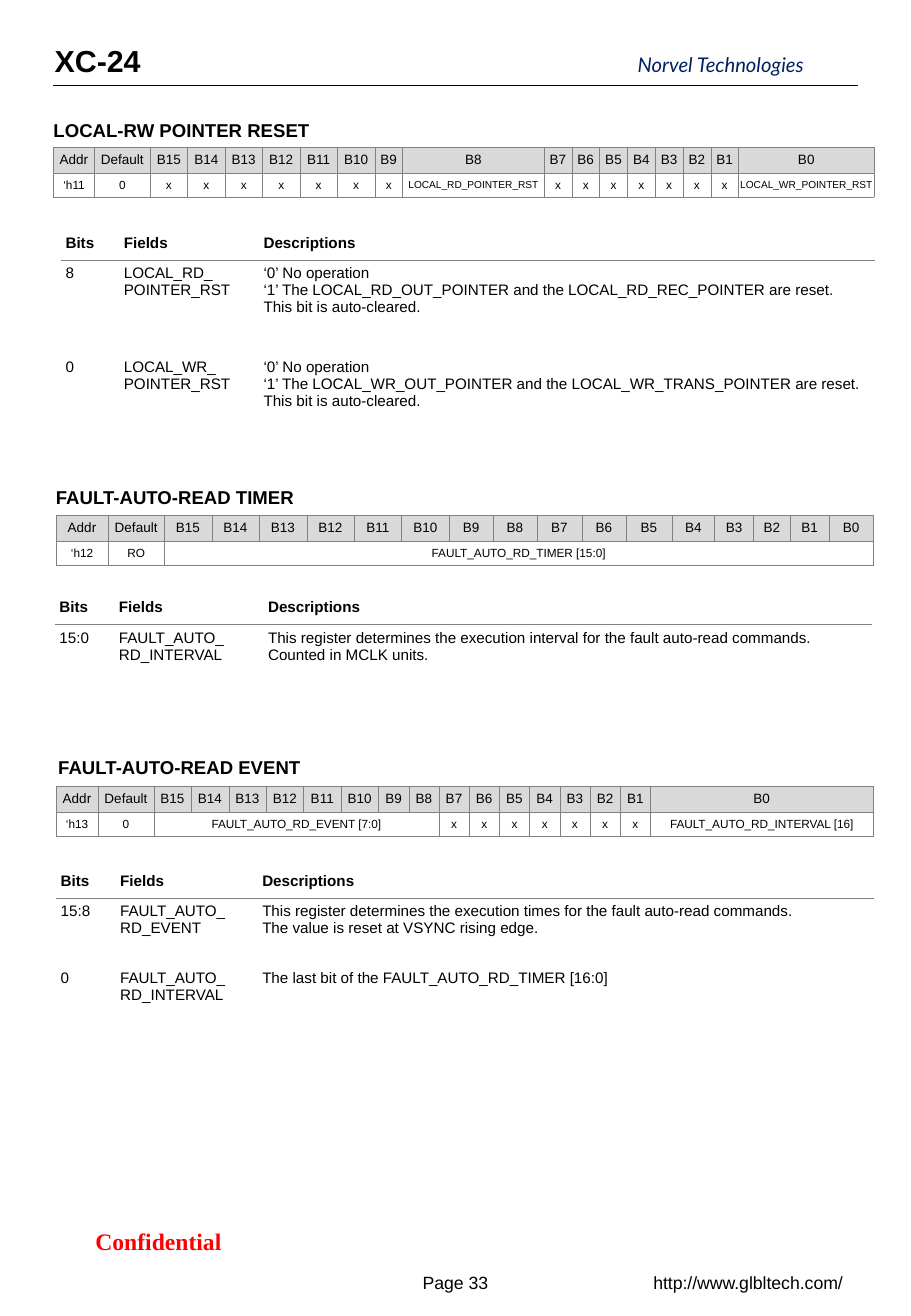
from lxml.etree import SubElement as Sub
from pptx import Presentation
from pptx.dml.color import RGBColor as Rgb
from pptx.enum.shapes import MSO_CONNECTOR as Conn
from pptx.enum.text import MSO_ANCHOR as Anc, MSO_AUTO_SIZE as Auto, PP_ALIGN as Al
from pptx.oxml.ns import qn
from pptx.util import Inches, Pt

WIDE, HIGH = 750, 1083
UNIT = Inches(0.01)
INK, GRAY, PALE = "000000", "808080", "D9D9D9"
PLAIN = "{2D5ABB26-0587-4C30-8999-92F81FD0307C}"
SMALL = "POINTER_RST"

HEAD = {"size": 11, "bold": True}
FOOT = {"size": 10.5}
LABELS = [
    ("XC-24", (45, 30, 74, 40), {"size": 18, "bold": True}, (0, 5, 0, 5)),
    ("Norvel Technologies", (525, 43, 160, 20),
     {"size": 12, "name": "Lato", "color": "002060", "italic": True}, (0, 0, 0, 0)),
    ("LOCAL-RW POINTER RESET", (44, 93, 222, 29), HEAD, (0, 5, 10, 5)),
    ("FAULT-AUTO-READ TIMER", (46, 395, 209, 29), HEAD, (0, 5, 10, 5)),
    ("FAULT-AUTO-READ EVENT", (48, 617, 213, 29), HEAD, (0, 5, 10, 5)),
]
NOTES = [
    ("Confidential", (34, 1004, 193, 34),
     {"size": 14, "name": "Times New Roman", "color": "FF0000", "bold": True}),
    ("Page 33", (328, 1038, 94, 34), FOOT),
    ("http://www.glbltech.com/", (522, 1038, 188, 34), FOOT),
]
BITS = ["Addr", "Default"] + [f"B{n}" for n in range(15, -1, -1)]
MAPS = [
    ((44, 121, 676), [34, 46] + [31] * 6 + [23, 117] + [23] * 7 + [112],
     [("‘h11", 1), ("0", 1)] + [("x", 1)] * 7 + [("LOCAL_RD_POINTER_RST", 1)]
     + [("x", 1)] * 7 + [("LOCAL_WR_POINTER_RST", 1)]),
    ((46, 424, 673),
     [43, 46] + [39] * 6 + [36, 36, 37, 36, 38, 35, 32, 30, 32, 36],
     [("‘h12", 1), ("RO", 1), ("FAULT_AUTO_RD_TIMER [15:0]", 16)]),
    ((46, 647, 673), [35, 46] + [31] * 6 + [25] * 9 + [184],
     [("‘h13", 1), ("0", 1), ("FAULT_AUTO_RD_EVENT [7:0]", 8)]
     + [("x", 1)] * 7 + [("FAULT_AUTO_RD_INTERVAL [16]", 1)]),
]
TITLES = ("Bits", "Fields", "Descriptions")
LISTS = [
    ((50, 186, 670), (48, 115, 507), (28, 77, 77), [
        ("8", "LOCAL_RD_\nPOINTER_RST",
         "‘0’ No operation\n"
         "‘1’ The LOCAL_RD_OUT_POINTER and the LOCAL_RD_REC_POINTER are reset.\n"
         "This bit is auto-cleared."),
        ("0", "LOCAL_WR_\nPOINTER_RST",
         "‘0’ No operation\n"
         "‘1’ The LOCAL_WR_OUT_POINTER and the LOCAL_WR_TRANS_POINTER are reset.\n"
         "This bit is auto-cleared.")]),
    ((45, 486, 673), (49, 123, 502), (28, 55), [
        ("15:0", "FAULT_AUTO_\nRD_INTERVAL",
         "This register determines the execution interval for the fault auto-read commands.\n"
         "Counted in MCLK units.")]),
    ((46, 711, 674), (49, 117, 508), (28, 55, 51), [
        ("15:8", "FAULT_AUTO_\nRD_EVENT",
         "This register determines the execution times for the fault auto-read commands.\n"
         "The value is reset at VSYNC rising edge."),
        ("0", "FAULT_AUTO_\nRD_INTERVAL",
         "The last bit of the FAULT_AUTO_RD_TIMER [16:0]")]),
]


def grid(*nums):
    return [round(n * UNIT) for n in nums]


def hue(code):
    return Rgb.from_string(code)


def style(frame, form, align=Al.LEFT):
    form = {"name": "Arial", "color": INK, "bold": False, **form}
    for para in frame.paragraphs:
        para.alignment = align
        for key, val in form.items():
            if key == "color":
                para.font.color.rgb = hue(val)
            else:
                setattr(para.font, key, Pt(val) if key == "size" else val)


def pad(obj, gaps):
    for side, gap in zip(("left", "top", "right", "bottom"), grid(*gaps)):
        setattr(obj, f"margin_{side}", gap)


def label(slide, text, box, form, gaps=None):
    frame = slide.shapes.add_textbox(*grid(*box)).text_frame
    frame.text = text
    if gaps:
        frame.word_wrap = False
        frame.auto_size = Auto.SHAPE_TO_FIT_TEXT
        pad(frame, gaps)
        style(frame, form)
    else:
        frame.word_wrap = True
        frame.vertical_anchor = Anc.MIDDLE
        style(frame, form, Al.CENTER)


def edge(cell, sides, width):
    prop = cell._tc.get_or_add_tcPr()
    for side in "LRTB":
        line = Sub(prop, qn(f"a:ln{side}"), w=str(Pt(width)))
        if side in sides:
            fill = Sub(line, qn("a:solidFill"))
            Sub(fill, qn("a:srgbClr"), val=GRAY)
        else:
            Sub(line, qn("a:noFill"))


def table(slide, place, cols, rows):
    left, top, width = place
    share = width / sum(cols)
    box = grid(left, top, width, sum(rows))
    tab = slide.shapes.add_table(len(rows), len(cols), *box).table
    tab.first_row = tab.horz_banding = False
    tab._tbl.tblPr.find(qn("a:tableStyleId")).text = PLAIN
    for col, size in zip(tab.columns, cols):
        col.width = round(size * share * UNIT)
    for row, size in zip(tab.rows, rows):
        row.height = round(size * UNIT)
    return tab


def put(cell, text, form, align, anchor, gap=4):
    cell.text = text
    cell.vertical_anchor = anchor
    pad(cell, [gap] * 4)
    style(cell.text_frame, form, align)


def bitmap(slide, place, cols, vals):
    tab = table(slide, place, cols, (21, 20))
    last = len(cols) - 1
    for row, cells in enumerate(([(bit, 1) for bit in BITS], vals)):
        at = 0
        for text, span in cells:
            cell = tab.cell(row, at)
            if span > 1:
                cell.merge(tab.cell(row, at + span - 1))
            size = 8 if row == 0 else 6 if SMALL in text else 7
            gap = 0 if at == last else 4
            put(cell, text, {"size": size}, Al.CENTER, Anc.MIDDLE, gap)
            at += span
        for col in range(len(cols)):
            cell = tab.cell(row, col)
            edge(cell, "LRTB", 0.25)
            if row == 0:
                cell.fill.solid()
                cell.fill.fore_color.rgb = hue(PALE)
            else:
                cell.fill.background()


def fields(slide, place, cols, rows, vals):
    tab = table(slide, place, cols, rows)
    for row, texts in enumerate([TITLES] + vals):
        for col, text in enumerate(texts):
            cell = tab.cell(row, col)
            anchor = Anc.TOP if row else Anc.MIDDLE
            put(cell, text, {"size": 9, "bold": row == 0}, Al.LEFT, anchor)
            edge(cell, {0: "B", 1: "T"}.get(row, ""), 0.5)
            cell.fill.background()


def main():
    deck = Presentation()
    deck.slide_width, deck.slide_height = grid(WIDE, HIGH)
    slide = deck.slides.add_slide(deck.slide_layouts[6])
    rule = slide.shapes.add_connector(Conn.STRAIGHT, *grid(44, 70, 706, 70))
    rule.line.color.rgb = hue(INK)
    rule.line.width = Pt(0.5)
    Sub(rule._element.spPr, qn("a:effectLst"))
    for item in LABELS + NOTES:
        label(slide, *item)
    for item in LISTS:
        fields(slide, *item)
    for item in MAPS:
        bitmap(slide, *item)
    deck.save("out.pptx")


if __name__ == "__main__":
    main()
